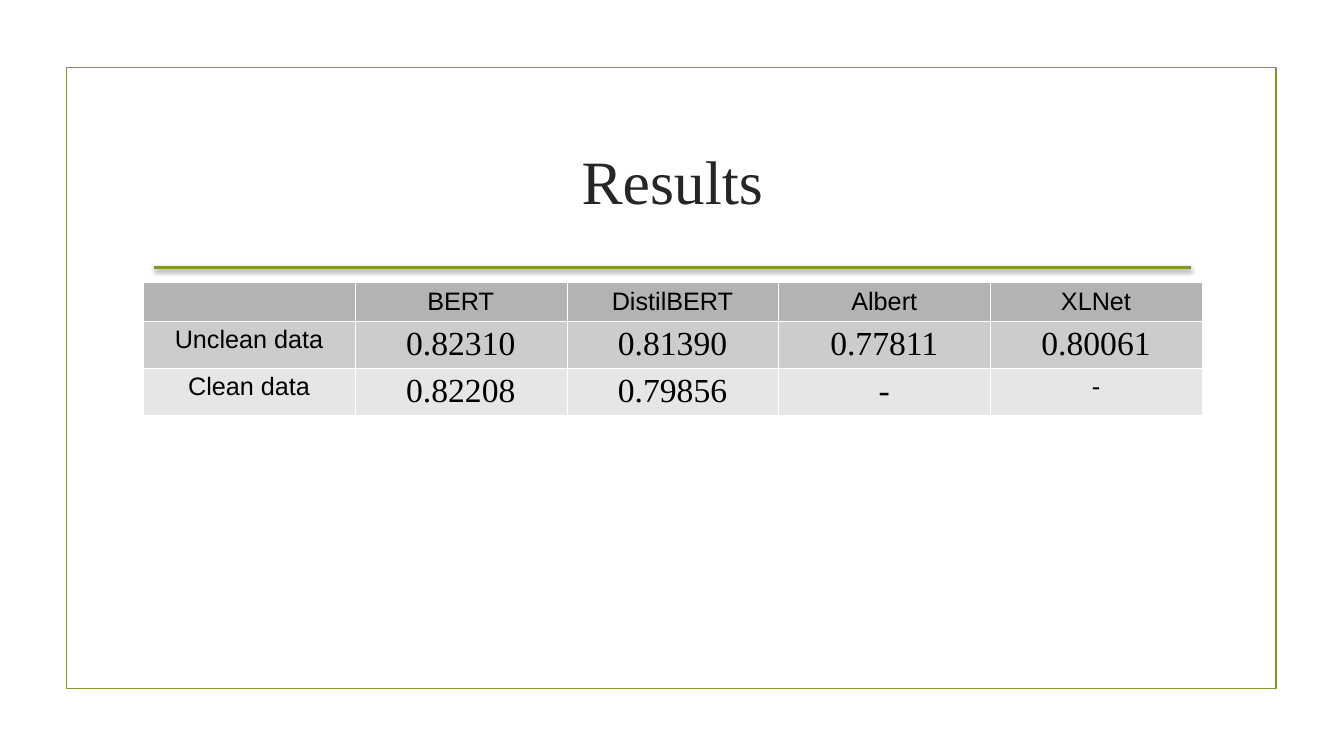
from lxml import etree
from pptx import Presentation
from pptx.dml.color import RGBColor
from pptx.enum.shapes import MSO_CONNECTOR, MSO_SHAPE
from pptx.enum.text import MSO_ANCHOR, PP_ALIGN
from pptx.oxml import parse_xml
from pptx.oxml.ns import nsdecls
from pptx.util import Inches, Pt

STRAIGHT = MSO_CONNECTOR.STRAIGHT
RECTANGLE = MSO_SHAPE.RECTANGLE
MIDDLE = MSO_ANCHOR.MIDDLE
CENTER = PP_ALIGN.CENTER

TITLE_ONLY = 5
SLIDE_SIZE = (13.33, 7.5)
FRAME_BOX = (0.66, 0.67, 12, 6.16)
TITLE_BOX = (1.42, 1.07, 10.5, 1.42)
RULE_BOX = (1.53, 2.65, 10.28, 0)
TABLE_BOX = (1.42, 2.8, 10.5, 1.32)
ROW_HEIGHTS = (0.38, 0.47, 0.47)
BORDER_WIDTH = 0.06

LABEL_FONT = ("Arial", 18)
VALUE_FONT = ("Times New Roman", 24)
TITLE_FONT = ("Times New Roman", 44)

COLORS = {
    "frame": "829826",
    "rule": "83992A",
    "title": "262626",
    "text": "000000",
    "border": "FFFFFF",
    "shadow": "000000",
    "rows": ("B3B3B3", "CCCCCC", "E6E6E6"),
}

RESULTS = (
    ("", "BERT", "DistilBERT", "Albert", "XLNet"),
    ("Unclean data", "0.82310", "0.81390", "0.77811", "0.80061"),
    ("Clean data", "0.82208", "0.79856", "-", "-"),
)
SMALL_DASH = (2, 4)


def inches(box):
    return [Inches(length) for length in box]


def style_text(text_frame, font, color):
    """Centre the text and set its font, a (name, size) pair, and colour."""
    para = text_frame.paragraphs[0]
    para.alignment = CENTER
    for target in [para.font] + [span.font for span in para.runs]:
        target.name, target.size = font[0], Pt(font[1])
        target.color.rgb = RGBColor.from_string(color)


def add_frame(page, box):
    frame = page.shapes.add_shape(RECTANGLE, *inches(box))
    frame.shadow.inherit = False
    frame.fill.background()
    frame.line.color.rgb = RGBColor.from_string(COLORS["frame"])
    frame.line.width = Pt(1.25)


def add_rule(page, box):
    """Draw the line under the title, with a soft shadow below it."""
    left, top, width, height = inches(box)
    rule = page.shapes.add_connector(STRAIGHT, left, top, left + width, top + height)
    rule.line.color.rgb = RGBColor.from_string(COLORS["rule"])
    rule.line.width = Pt(2)
    rule._element.spPr.append(parse_xml(
        f'<a:effectLst {nsdecls("a")}>'
        f'<a:outerShdw blurRad="{Pt(3.1)}" dist="{Pt(1.6)}" dir="5400000" rotWithShape="0">'
        f'<a:srgbClr val="{COLORS["shadow"]}"><a:alpha val="38000"/></a:srgbClr>'
        '</a:outerShdw></a:effectLst>'))


def place_title(page, box, text):
    title = page.shapes.title
    title.left, title.top, title.width, title.height = inches(box)
    title.text_frame.text = text
    title.text_frame.vertical_anchor = MIDDLE
    style_text(title.text_frame, TITLE_FONT, COLORS["title"])


def set_borders(cell):
    properties = cell._tc.get_or_add_tcPr()
    for index, side in enumerate(("lnL", "lnR", "lnT", "lnB")):
        border = parse_xml(
            f'<a:{side} {nsdecls("a")} w="{Pt(BORDER_WIDTH)}"/>')
        fill = etree.SubElement(border, border.tag.replace(side, "solidFill"))
        etree.SubElement(fill, border.tag.replace(side, "srgbClr"), val=COLORS["border"])
        properties.insert(index, border)


def add_results_table(page, box, rows):
    column_count = len(rows[0])
    table = page.shapes.add_table(len(rows), column_count, *inches(box)).table
    for column in table.columns:
        column.width = Inches(box[2] / column_count)
    for row_index, values in enumerate(rows):
        table.rows[row_index].height = Inches(ROW_HEIGHTS[row_index])
        for column_index, value in enumerate(values):
            cell = table.cell(row_index, column_index)
            cell.text_frame.text = value
            is_label = 0 in (row_index, column_index)
            is_small = is_label or (row_index, column_index) == SMALL_DASH
            style_text(cell.text_frame, LABEL_FONT if is_small else VALUE_FONT, COLORS["text"])
            for run in cell.text_frame.paragraphs[0].runs:
                run.font.bold = False
            cell.fill.solid()
            cell.fill.fore_color.rgb = RGBColor.from_string(COLORS["rows"][row_index])
            set_borders(cell)


def main():
    deck = Presentation()
    deck.slide_width, deck.slide_height = inches(SLIDE_SIZE)
    page = deck.slides.add_slide(deck.slide_layouts[TITLE_ONLY])
    add_frame(page, FRAME_BOX)
    add_rule(page, RULE_BOX)
    place_title(page, TITLE_BOX, "Results")
    add_results_table(page, TABLE_BOX, RESULTS)
    deck.save("out.pptx")


if __name__ == "__main__":
    main()
